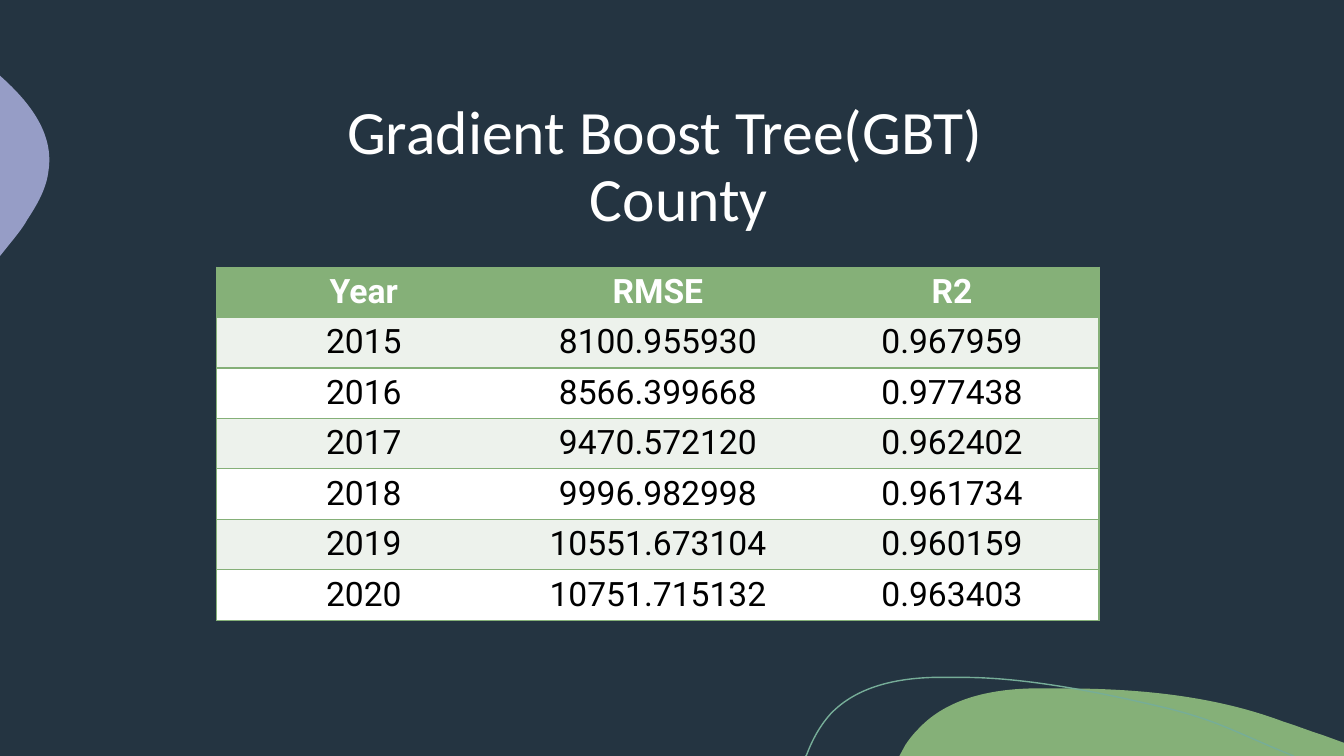
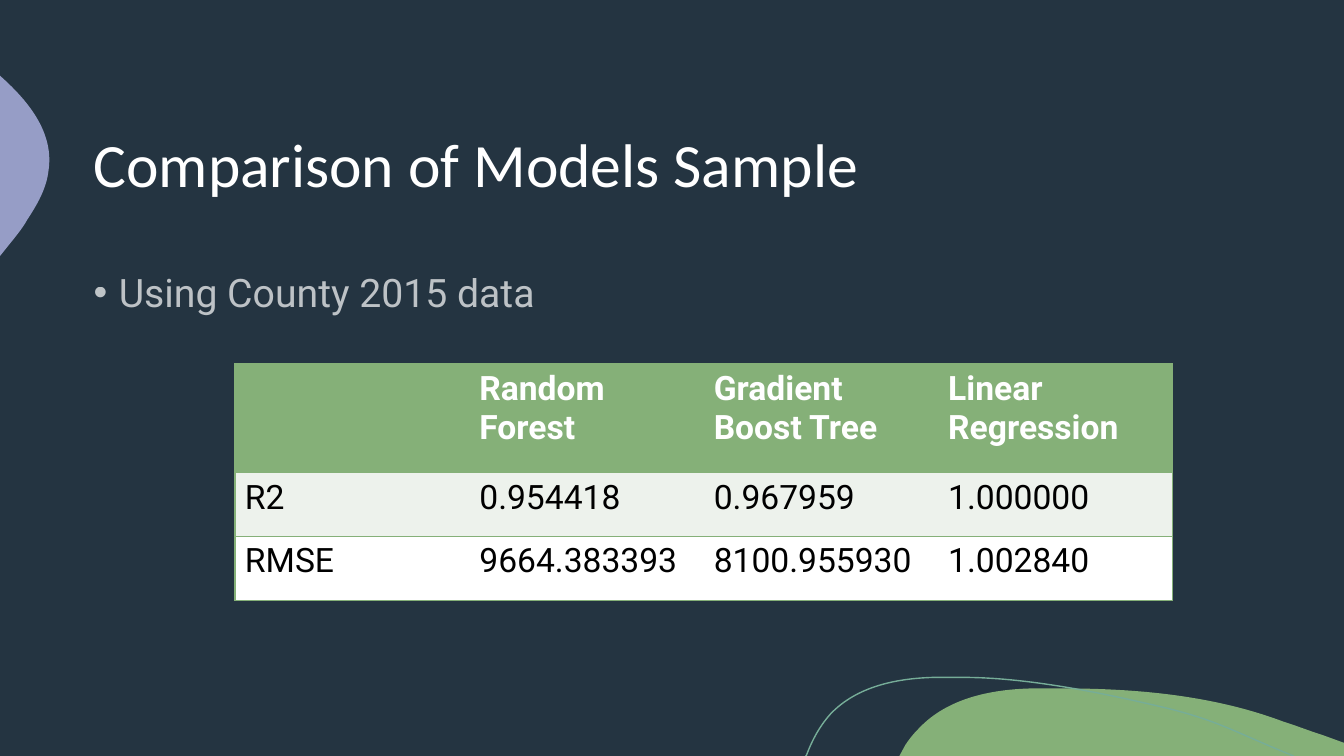
from dataclasses import dataclass

from lxml import etree
from pptx import Presentation
from pptx.dml.color import RGBColor
from pptx.enum import text
from pptx.oxml import ns
from pptx.util import Inches, Pt


@dataclass(frozen=True)
class Theme:
    night: RGBColor = RGBColor.from_string("243441")
    green: RGBColor = RGBColor.from_string("85B078")
    lilac: RGBColor = RGBColor.from_string("969DC6")
    teal: RGBColor = RGBColor.from_string("76AD98")
    pale: RGBColor = RGBColor.from_string("EDF2EC")
    white: RGBColor = RGBColor.from_string("FFFFFF")
    black: RGBColor = RGBColor.from_string("000000")
    title_font: str = "Calibri"
    body_font: str = "Roboto"
    title_size: Pt = Pt(44)
    body_size: Pt = Pt(28)
    table_size: Pt = Pt(24)
    line_width: Pt = Pt(1)


theme = Theme()


def format_runs(paragraph, font_name, size, color, bold=False):
    for run in paragraph.runs:
        run.font.name = font_name
        run.font.size = size
        run.font.color.rgb = color
        run.font.bold = bold


def add_grid(slide, left, top, width, height, row_heights, rows, align):
    """Table with a green header, banded rows and no inner vertical lines."""
    column_count = len(rows[0])
    frame = slide.shapes.add_table(len(rows), column_count, Inches(left), Inches(top),
                                   Inches(width), Inches(height))
    grid = frame.table
    for r, (values, row_height) in enumerate(zip(rows, row_heights)):
        grid.rows[r].height = Inches(row_height)
        is_header = r == 0
        band = theme.green if is_header else (theme.pale if r % 2 else theme.white)
        for c, value in enumerate(values):
            cell = grid.cell(r, c)
            entry = cell.text_frame.paragraphs[0]
            entry.text = value
            entry.alignment = align
            format_runs(entry, theme.body_font, theme.table_size,
                        theme.white if is_header else theme.black, is_header)
            # Borders come before the fill in the cell properties
            drawn = {"L": c == 0, "R": c == column_count - 1, "T": True, "B": True}
            properties = cell._tc.get_or_add_tcPr()
            for side, visible in drawn.items():
                border = etree.SubElement(properties, ns.qn(f"a:ln{side}"),
                                          w=str(theme.line_width))
                if visible:
                    paint = etree.SubElement(border, ns.qn("a:solidFill"))
                    etree.SubElement(paint, ns.qn("a:srgbClr"), val=str(theme.green))
                else:
                    etree.SubElement(border, ns.qn("a:noFill"))
            cell.fill.solid()
            cell.fill.fore_color.rgb = band
    # Rows grow with their text, inside a frame of fixed height
    frame.height = Inches(height)


deck = Presentation()
deck.slide_width, deck.slide_height = Inches(13.33), Inches(7.5)
blank = deck.slide_layouts[6]
for placeholder in list(blank.placeholders):
    blank.shapes.element.remove(placeholder.element)
gbt_slide, comparison_slide = [deck.slides.add_slide(blank) for _ in range(2)]

# Shared background and waves: two numbers are a line end, six a cubic curve
blank.background.fill.solid()
blank.background.fill.fore_color.rgb = theme.night
waves = [
    (theme.green, True, [
        (10.54, 6.83), (11.28, 6.83, 12.04, 6.9, 12.73, 7.16),
        (12.86, 7.2, 12.98, 7.25, 13.11, 7.29), (13.33, 7.37), (13.33, 7.5),
        (8.92, 7.5), (8.98, 7.39), (9.02, 7.33, 9.06, 7.28, 9.11, 7.23),
        (9.39, 6.93, 9.82, 6.84, 10.23, 6.83),
        (10.33, 6.83, 10.43, 6.83, 10.54, 6.83)]),
    (theme.lilac, True, [
        (0, 0.75), (0.01, 0.76), (0.3, 1.02, 0.54, 1.33, 0.48, 1.7),
        (0.46, 1.87, 0.37, 2.03, 0.27, 2.18),
        (0.24, 2.24, 0.17, 2.33, 0.08, 2.44), (0, 2.54)]),
    (theme.teal, False, [
        (7.99, 7.5), (8, 7.49), (8.06, 7.33, 8.14, 7.19, 8.24, 7.08),
        (8.5, 6.81, 8.89, 6.73, 9.26, 6.72), (9.55, 6.72),
        (10.22, 6.72, 11, 6.89, 11.55, 7.02),
        (12.09, 7.15, 12.26, 7.27, 12.83, 7.5)]),
]
for color, filled, segments in waves:
    corners = [(Inches(segment[-2]), Inches(segment[-1])) for segment in segments]
    pen = gbt_slide.shapes.build_freeform(*corners[0])
    pen.add_line_segments(corners[1:], close=filled)
    wave = pen.convert_to_shape()
    # Give the curved segments their control points
    strokes = list(wave.element.iter(ns.qn("a:lnTo")))
    for stroke, segment in zip(strokes, segments[1:]):
        if len(segment) == 6:
            curve = etree.Element(ns.qn("a:cubicBezTo"))
            for x, y in zip(segment[::2], segment[1::2]):
                etree.SubElement(curve, ns.qn("a:pt"), x=str(Inches(x) - wave.left),
                                 y=str(Inches(y) - wave.top))
            stroke.getparent().replace(stroke, curve)
    wave.shadow.inherit = False
    if filled:
        wave.fill.solid()
        wave.fill.fore_color.rgb = color
        wave.line.fill.background()
    else:
        wave.fill.background()
        wave.line.color.rgb = color
        wave.line.width = theme.line_width
    # The layout carries the wave, so both slides show it
    blank.shapes.element.append(wave.element)

# Titles
titles = [
    (gbt_slide, "Gradient Boost Tree(GBT) \n County", text.PP_ALIGN.CENTER),
    (comparison_slide, "Comparison of Models Sample", text.PP_ALIGN.LEFT),
]
for slide, wording, align in titles:
    title_frame = slide.shapes.add_textbox(
        Inches(0.83), Inches(0.83), Inches(11.67), Inches(1.67)).text_frame
    title_frame.word_wrap = True
    title_frame.vertical_anchor = text.MSO_ANCHOR.MIDDLE
    title = title_frame.paragraphs[0]
    title.text = wording
    title.alignment = align
    title.line_spacing = 0.9
    format_runs(title, theme.title_font, theme.title_size, theme.white)

# Yearly results of the gradient boost tree
yearly_results = [
    ("Year", "RMSE", "R2"),
    ("2015", "8100.955930", "0.967959"),
    ("2016", "8566.399668", "0.977438"),
    ("2017", "9470.572120", "0.962402"),
    ("2018", "9996.982998", "0.961734"),
    ("2019", "10551.673104", "0.960159"),
    ("2020", "10751.715132", "0.963403"),
]
add_grid(gbt_slide, 2.15, 2.65, 8.75, 3.5, [0.41] * len(yearly_results),
         yearly_results, text.PP_ALIGN.CENTER)

# Bullet above the comparison
note_frame = comparison_slide.shapes.add_textbox(
    Inches(0.83), Inches(2.5), Inches(11.67), Inches(4.18)).text_frame
note_frame.word_wrap = True
note = note_frame.paragraphs[0]
note.text = "Using County 2015 data"
note.line_spacing = 1.25
note.space_before = Pt(10)
format_runs(note, theme.body_font, theme.body_size, theme.white)
note_properties = note._p.get_or_add_pPr()
note_properties.set("marL", str(Inches(0.25)))
note_properties.set("indent", str(-Inches(0.25)))
etree.SubElement(note_properties, ns.qn("a:buFont"), typeface="Arial")
etree.SubElement(note_properties, ns.qn("a:buChar"), char="•")
for tint in note._p.iter(ns.qn("a:srgbClr")):
    etree.SubElement(tint, ns.qn("a:alpha"), val="70000")

# Comparison of the three models
model_scores = [
    ("", "Random Forest", "Gradient Boost Tree", "Linear Regression"),
    ("R2", "0.954418", "0.967959", "1.000000"),
    ("RMSE", "9664.383393", "8100.955930", "1.002840"),
]
add_grid(comparison_slide, 2.33, 3.61, 9.3, 2.35, [1.08, 0.63, 0.64],
         model_scores, text.PP_ALIGN.LEFT)

deck.save("out.pptx")
